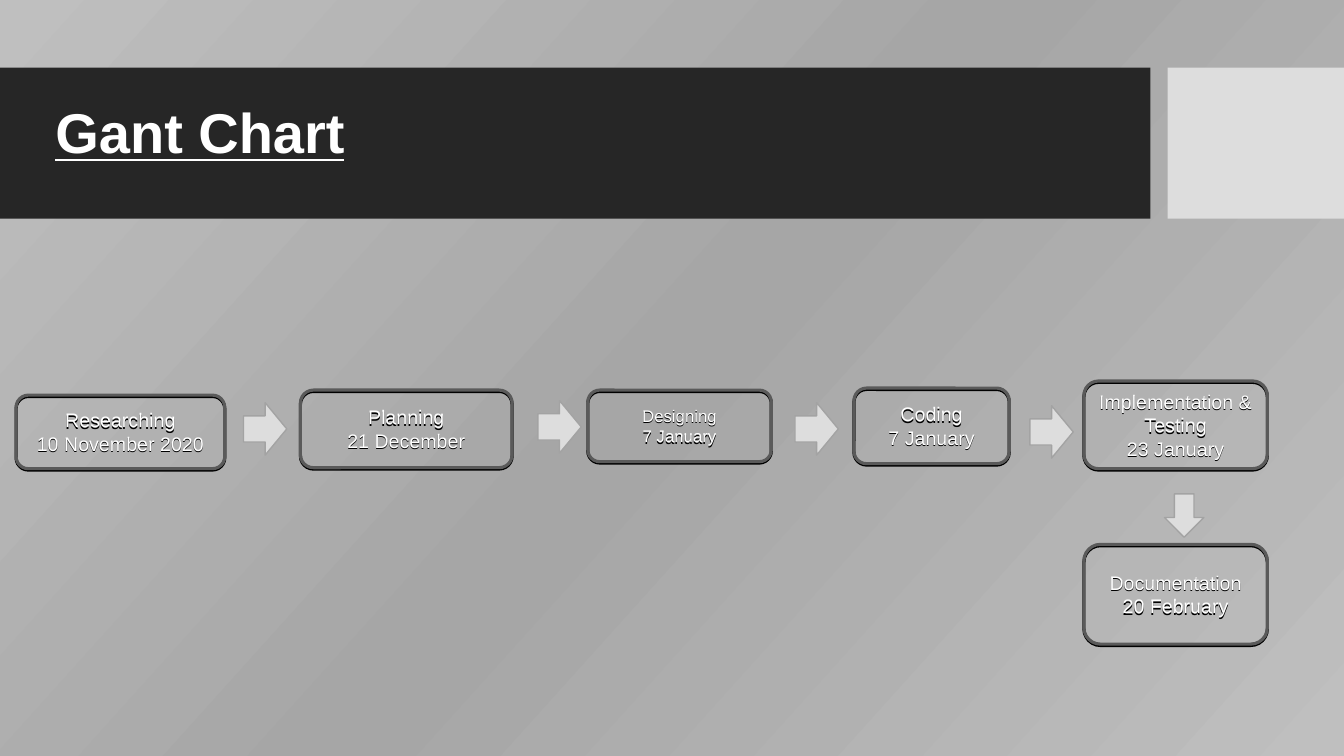
from copy import deepcopy

from lxml.etree import SubElement
from pptx import Presentation
from pptx.dml.color import RGBColor
from pptx.enum.shapes import MSO_SHAPE
from pptx.enum.text import MSO_ANCHOR, MSO_AUTO_SIZE, PP_ALIGN
from pptx.oxml.ns import qn
from pptx.util import Inches, Pt

FONT = "Arial"
WHITE, BAND, ACCENT = "FFFFFF", "262626", "DDDDDD"
STAGE_LINE, ARROW_LINE = "5A5A5A", "A3A3A3"
BACKDROP = ["BFBFBF", "A6A6A6", "BFBFBF"]

# name, date, box (left, top, width, height), text size
STAGES = [
    ("Researching", "10 November 2020", (0.16, 3.92, 2.07, 0.73), 14),
    ("Planning", "21 December", (2.98, 3.87, 2.1, 0.77), 14),
    ("Designing", "7 January", (5.83, 3.87, 1.82, 0.71), 12),
    ("Coding", "7 January", (8.47, 3.85, 1.54, 0.75), 14),
    ("Implementation & Testing", "23 January", (10.75, 3.78, 1.82, 0.87), 14),
    ("Documentation", "20 February", (10.75, 5.4, 1.82, 0.99), 14),
]
RIGHT_ARROWS = [(2.37, 4.04), (5.29, 4.02), (7.84, 4.04), (10.17, 4.07)]


def color(hex_code):
    return RGBColor.from_string(hex_code)


class TimelineSlide:
    def __init__(self, presentation):
        self.slide = presentation.slides.add_slide(presentation.slide_layouts[5])
        self.shapes = self.slide.shapes

    def backdrop(self, shades, clockwise_angle):
        """Fill the background with a linear gradient of three even stops."""
        fill = self.slide.background.fill
        fill.gradient()
        fill.gradient_angle = 360 - clockwise_angle
        first = fill._fill._gradFill.gsLst[0]
        first.addnext(deepcopy(first))
        for index, (stop, shade) in enumerate(zip(fill.gradient_stops, shades)):
            stop.color.rgb = color(shade)
            stop.position = index / (len(shades) - 1)

    def block(self, kind, box, fill=None, line=None, line_width=1):
        shape = self.shapes.add_shape(kind, *map(Inches, box))
        shape.shadow.inherit = False
        if fill:
            shape.fill.solid()
            shape.fill.fore_color.rgb = color(fill)
        else:
            shape.fill.background()
        if line:
            shape.line.color.rgb = color(line)
            shape.line.width = Pt(line_width)
        else:
            shape.line.fill.background()
        return shape

    def label(self, frame, text, size, align, bold=None, underline=None):
        frame.text = text
        frame.word_wrap = True
        frame.vertical_anchor = MSO_ANCHOR.MIDDLE
        for paragraph in frame.paragraphs:
            paragraph.alignment = align
            for run in paragraph.runs:
                font = run.font
                font.name, font.size = FONT, Pt(size)
                font.bold, font.underline = bold, underline
                font.color.rgb = color(WHITE)

    def title(self, text, box):
        title = self.shapes.title
        title.left, title.top, title.width, title.height = map(Inches, box)
        self.label(title.text_frame, text, 40, PP_ALIGN.LEFT, True, True)
        title.text_frame.auto_size = MSO_AUTO_SIZE.SHAPE_TO_FIT_TEXT
        # Bring the title in front of the band
        self.shapes._spTree.append(title._element)

    def stage(self, name, date, box, size):
        stage = self.block(MSO_SHAPE.ROUNDED_RECTANGLE, box,
                           line=STAGE_LINE, line_width=2.25)
        self.drop_shadow(stage)
        self.label(stage.text_frame, f"{name}\n{date}", size, PP_ALIGN.CENTER)

    def drop_shadow(self, shape):
        """Add a hard black shadow one point below the shape."""
        effects = shape._element.spPr.find(qn("a:effectLst"))
        shadow = SubElement(effects, qn("a:outerShdw"), blurRad="0",
                            dist=str(Pt(1)), dir="5400000", rotWithShape="0")
        SubElement(shadow, qn("a:srgbClr"), val="000000")

    def arrow(self, box, rotation=0):
        arrow = self.block(MSO_SHAPE.DOWN_ARROW, box, ACCENT, ARROW_LINE)
        arrow.rotation = rotation


def main():
    presentation = Presentation()
    presentation.slide_width = Inches(13.33)
    presentation.slide_height = Inches(7.5)

    timeline = TimelineSlide(presentation)
    timeline.backdrop(BACKDROP, 42)
    timeline.block(MSO_SHAPE.RECTANGLE, (0, 0.67, 11.41, 1.5), BAND)
    timeline.block(MSO_SHAPE.RECTANGLE, (11.58, 0.67, 1.75, 1.5), ACCENT)
    timeline.title("Gant Chart", (0.45, 0.92, 3.94, 0.77))
    for stage in STAGES:
        timeline.stage(*stage)
    for left, top in RIGHT_ARROWS:
        timeline.arrow((left, top, 0.52, 0.43), rotation=270)
    timeline.arrow((11.55, 4.9, 0.39, 0.43))

    presentation.save("out.pptx")


if __name__ == "__main__":
    main()
